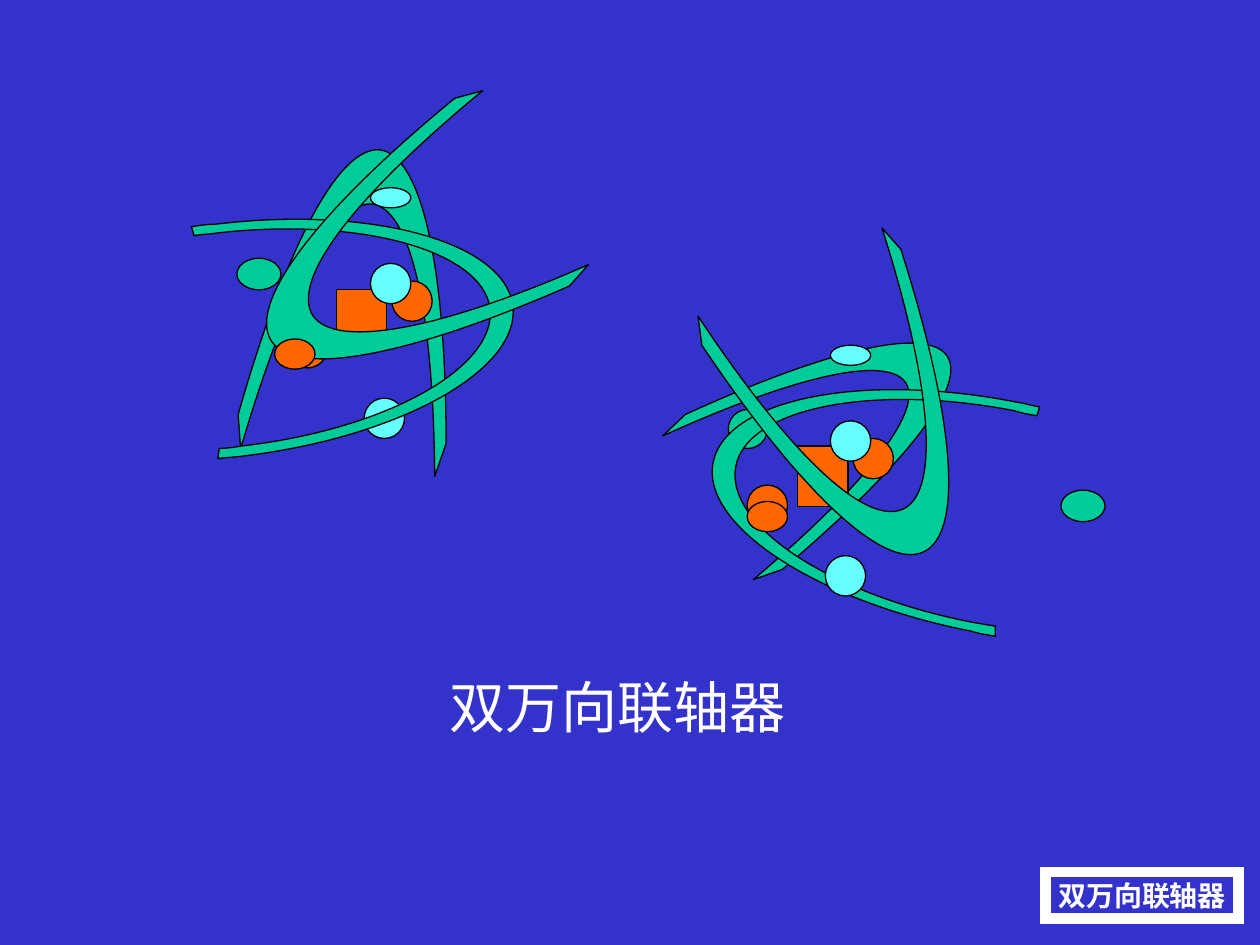
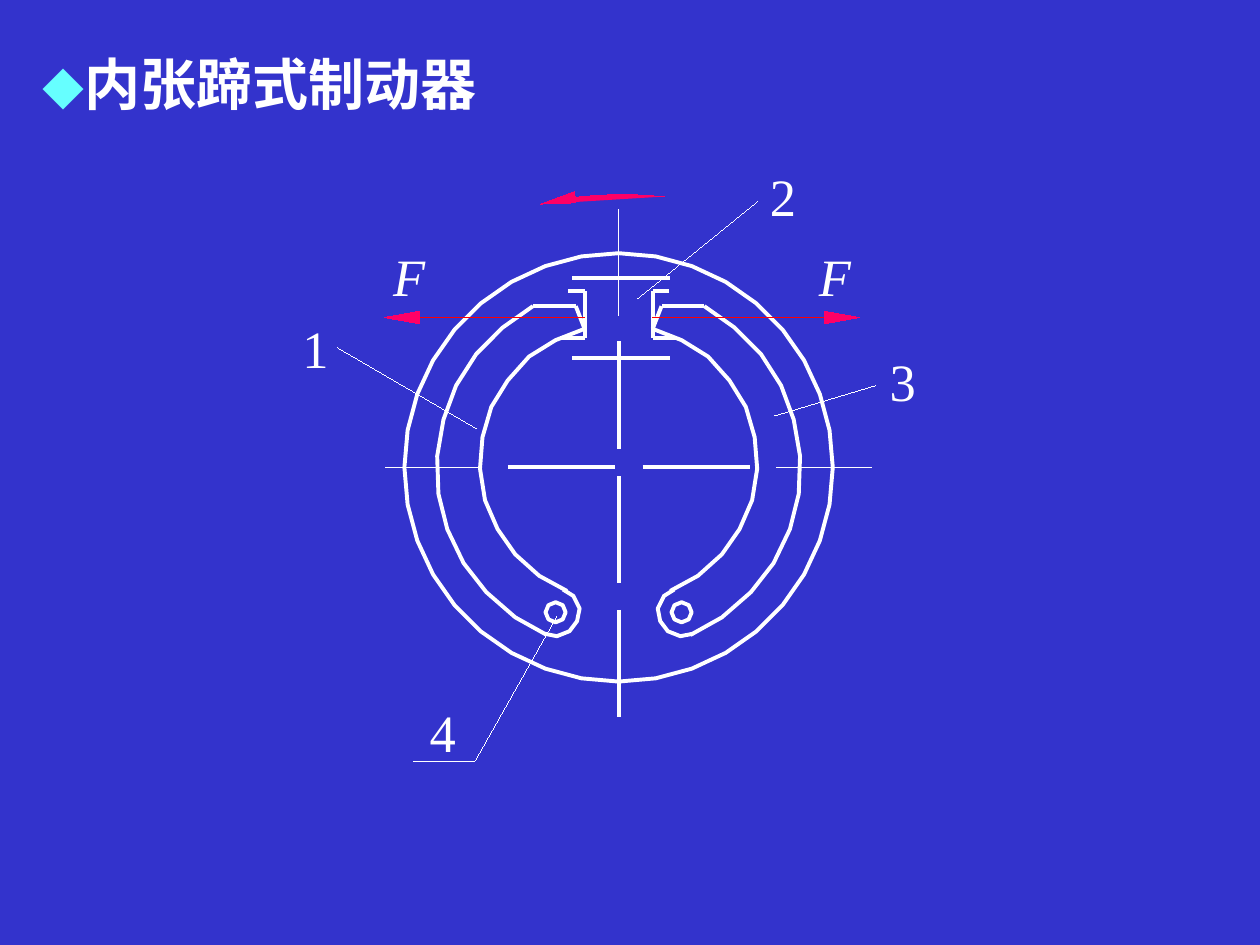
import math
from lxml import etree
from pptx import Presentation
from pptx.dml.color import RGBColor
from pptx.enum import shapes, text
from pptx.oxml import ns
from pptx.util import Inches, Pt

BLUE = RGBColor(0x33, 0x33, 0xCC)
GREEN = RGBColor(0x00, 0xCC, 0x99)
ORANGE = RGBColor(0xFF, 0x66, 0x00)
CYAN = RGBColor(0x66, 0xFF, 0xFF)
WHITE = RGBColor(0xFF, 0xFF, 0xFF)
BLACK = RGBColor(0, 0, 0)
RED = RGBColor(0xFF, 0, 0)
PINK = RGBColor(0xFF, 0, 0x66)
SERIF, SANS = "Times New Roman", "Noto Sans CJK SC"
THICK, HAIRLINE = 2.25, 0.01
OVAL = shapes.MSO_SHAPE.OVAL
RECTANGLE = shapes.MSO_SHAPE.RECTANGLE

# Slide 1 content: joint parts, back to front. A fork is a start point followed
# by line ends (2 numbers) and Bezier curves (6 numbers).
COUPLING_NAME = "双万向联轴器"
LEFT_JOINT = [
    [(1.91, 3.56), (2.28, 2.3, 2.66, 1.58, 2.96, 1.62),
     (3.26, 1.67, 3.44, 2.46, 3.45, 3.78), (3.54, 3.52),
     (3.54, 2.09, 3.34, 1.24, 3.02, 1.19), (2.7, 1.15, 2.28, 1.92, 1.89, 3.29)],
    (OVAL, 3.11, 2.23, 0.32, 0.32, ORANGE),
    (OVAL, 1.88, 2.05, 0.35, 0.25, GREEN),
    (OVAL, 2.89, 3.16, 0.32, 0.32, CYAN),
    (RECTANGLE, 2.67, 2.3, 0.4, 0.48, ORANGE),
    (OVAL, 2.94, 2.09, 0.32, 0.32, CYAN),
    [(1.54, 1.87), (1.6, 1.86, 1.66, 1.86, 1.72, 1.85),
     (2.86, 1.72, 3.83, 1.99, 3.89, 2.45), (3.94, 2.92, 3.06, 3.41, 1.92, 3.54),
     (1.86, 3.55, 1.8, 3.56, 1.74, 3.56), (1.73, 3.64),
     (1.8, 3.63, 1.86, 3.63, 1.93, 3.62), (3.17, 3.47, 4.13, 2.94, 4.07, 2.43),
     (4.01, 1.92, 2.95, 1.63, 1.71, 1.78), (1.65, 1.78, 1.58, 1.79, 1.52, 1.8)],
    (OVAL, 2.94, 1.49, 0.32, 0.16, CYAN),
    (OVAL, 2.28, 2.6, 0.32, 0.32, ORANGE),
    [(4.67, 2.1), (3.47, 2.63, 2.65, 2.77, 2.48, 2.5),
     (2.31, 2.22, 2.81, 1.56, 3.83, 0.72), (3.61, 0.78),
     (2.51, 1.68, 1.97, 2.4, 2.15, 2.7), (2.33, 3, 3.22, 2.84, 4.52, 2.27)],
    (OVAL, 2.18, 2.69, 0.32, 0.24, ORANGE),
]
RIGHT_JOINT = [
    [(5.98, 4.6), (6.88, 3.84, 7.33, 3.26, 7.19, 3.04),
     (7.05, 2.82, 6.34, 2.97, 5.26, 3.46), (5.44, 3.29),
     (6.6, 2.76, 7.37, 2.59, 7.52, 2.83), (7.67, 3.07, 7.19, 3.69, 6.21, 4.52)],
    (OVAL, 5.78, 3.25, 0.31, 0.31, GREEN),
    [(8.23, 3.3), (8.17, 3.29, 8.11, 3.28, 8.05, 3.26),
     (6.92, 3.04, 5.93, 3.24, 5.84, 3.7), (5.75, 4.17, 6.59, 4.72, 7.72, 4.94),
     (7.78, 4.95, 7.84, 4.96, 7.9, 4.97), (7.9, 5.05),
     (7.84, 5.04, 7.77, 5.03, 7.71, 5.01), (6.48, 4.77, 5.56, 4.17, 5.66, 3.67),
     (5.76, 3.17, 6.83, 2.95, 8.06, 3.19), (8.13, 3.2, 8.19, 3.22, 8.25, 3.23)],
    (OVAL, 6.77, 3.48, 0.32, 0.32, ORANGE),
    (OVAL, 6.55, 4.41, 0.32, 0.32, CYAN),
    (RECTANGLE, 6.33, 3.54, 0.4, 0.48, ORANGE),
    (OVAL, 6.59, 3.34, 0.32, 0.32, CYAN),
    (OVAL, 6.59, 2.74, 0.32, 0.16, CYAN),
    (OVAL, 5.93, 3.85, 0.32, 0.32, ORANGE),
    [(5.54, 2.51), (6.27, 3.61, 6.87, 4.18, 7.17, 4.04),
     (7.46, 3.9, 7.4, 3.07, 7, 1.81), (7.15, 1.98),
     (7.58, 3.33, 7.65, 4.23, 7.33, 4.38), (7.02, 4.53, 6.36, 3.92, 5.57, 2.74)],
    (OVAL, 5.93, 3.98, 0.32, 0.24, ORANGE),
    (OVAL, 8.42, 3.89, 0.35, 0.25, GREEN),
]

# Slide 2 content: the brake is symmetric about CENTRE_X
BRAKE_NAME = "内张蹄式制动器"
CENTRE_X, CENTRE_Y, DRUM_RADIUS = 4.91, 3.71, 1.7
PIN_X, PIN_Y, PIN_RADIUS = 4.41, 4.86, 0.08
LEFT_SHOE = [
    [(4.23, 2.43), (3.99, 2.6), (3.78, 2.81), (3.62, 3.06), (3.52, 3.33),
     (3.47, 3.62), (3.48, 3.92), (3.55, 4.2), (3.68, 4.47), (3.86, 4.7),
     (4.09, 4.9), (4.34, 5.04)],
    [(4.64, 2.61), (4.41, 2.7), (4.2, 2.83), (4.03, 3.02), (3.9, 3.23),
     (3.83, 3.47), (3.81, 3.72), (3.85, 3.97), (3.95, 4.2), (4.09, 4.4),
     (4.28, 4.57), (4.5, 4.69)],
    [(4.32, 5.03), (4.42, 5.05), (4.52, 5.01), (4.58, 4.93), (4.6, 4.83),
     (4.55, 4.73), (4.47, 4.68)],
]
LEFT_LINES = [
    (4.23, 2.43, 4.57, 2.43), (4.64, 2.61, 4.57, 2.43), (4.51, 2.31, 4.64, 2.31),
    (4.64, 2.31, 4.64, 2.68), (4.64, 2.68, 4.45, 2.68),
]
CYLINDER_EDGES = [(4.54, y, 5.32, y) for y in (2.21, 2.84)]
# Centre lines as (start, end, width, colour); equal ends make a dot
HORIZONTAL_AXIS = [
    (3.06, 3.82, HAIRLINE, WHITE), (3.93, 3.93, THICK, WHITE), (4.03, 4.88, THICK, WHITE),
    (4.99, 4.99, THICK, WHITE), (5.1, 5.95, THICK, WHITE), (6.05, 6.05, THICK, RED),
    (6.16, 6.92, HAIRLINE, WHITE)]
VERTICAL_AXIS = [
    (1.66, 2.5, HAIRLINE, WHITE), (2.61, 2.61, THICK, WHITE), (2.71, 3.56, THICK, WHITE),
    (3.67, 3.67, THICK, WHITE), (3.78, 4.63, THICK, WHITE), (4.73, 4.73, THICK, WHITE),
    (4.84, 5.69, THICK, WHITE)]
LEADERS = [(3.78, 3.4, 2.68, 2.76), (5.06, 2.37, 6.01, 1.6), (6.15, 3.3, 6.95, 3.06),
           (4.42, 4.89, 3.77, 6.04), (3.77, 6.04, 3.28, 6.04)]
FORCE_LINES = [(3.05, 2.52, 4.64, 2.52), (5.18, 2.52, 6.82, 2.52)]
ARROW_PARTS = [
    [(5.27, 1.56), (4.94, 1.54), (4.61, 1.56), (4.29, 1.62)],
    [(4.56, 1.52), (4.57, 1.61), (4.29, 1.62)],
    [(3.33, 2.47), (3.33, 2.57), (3.05, 2.52)],
    [(6.54, 2.47), (6.54, 2.57), (6.82, 2.52)],
]
LABELS = [("1", 2.4, 2.51), ("2", 6.11, 1.3), ("3", 7.06, 2.77), ("4", 3.41, 5.56),
          ("F", 3.12, 1.94), ("F", 6.5, 1.94)]


# Shared helpers
def style(shape, fill, line, width):
    shape.shadow.inherit = False
    if fill is None:
        shape.fill.background()
    else:
        shape.fill.solid()
        shape.fill.fore_color.rgb = fill
    shape.line.color.rgb = line
    shape.line.width = Pt(width)


def add_outline(slide, points, fill=None, line=WHITE, width=THICK, close=False):
    corners = [(Inches(x), Inches(y)) for x, y in points]
    builder = slide.shapes.build_freeform(*corners[0])
    builder.add_line_segments(corners[1:], close=close)
    shape = builder.convert_to_shape()
    style(shape, fill, line, width)
    return shape


def add_fork(slide, segments):
    """Outline the segment ends, then bend the sides that are curves."""
    shape = add_outline(slide, [segment[-2:] for segment in segments],
                        GREEN, BLACK, 0.75, close=True)
    sides = list(shape._element.iter(ns.qn("a:lnTo")))
    for side, segment in zip(sides, segments[1:]):
        if len(segment) == 2:
            continue
        side.tag = ns.qn("a:cubicBezTo")
        for index in (0, 2):
            control = etree.Element(ns.qn("a:pt"))
            control.set("x", str(Inches(segment[index]) - shape.left))
            control.set("y", str(Inches(segment[index + 1]) - shape.top))
            side.insert(index // 2, control)


def add_line(slide, ends, color=WHITE, width=THICK):
    connector = slide.shapes.add_connector(
        shapes.MSO_CONNECTOR.STRAIGHT, *[Inches(value) for value in ends])
    connector.line.color.rgb = color
    connector.line.width = Pt(width)
    etree.SubElement(connector._element.spPr, ns.qn("a:effectLst"))


def write(shape, runs, align, margins=(0.1, 0.05), wrap=False, anchor=text.MSO_ANCHOR.TOP):
    """Each run is (text, size, colour, font, bold, italic)."""
    frame = shape.text_frame
    frame.auto_size = text.MSO_AUTO_SIZE.NONE
    frame.word_wrap = wrap
    frame.vertical_anchor = anchor
    frame.margin_left = frame.margin_right = Inches(margins[0])
    frame.margin_top = frame.margin_bottom = Inches(margins[1])
    paragraph = frame.paragraphs[0]
    paragraph.alignment = align
    for words, size, color, font, bold, italic in runs:
        run = paragraph.add_run()
        run.text = words
        run.font.size = Pt(size)
        run.font.color.rgb = color
        run.font.name = font
        run.font.bold = bold
        run.font.italic = italic


def new_slide(presentation, box, runs, align, wrap):
    slide = presentation.slides.add_slide(presentation.slide_layouts[5])
    title = slide.shapes.title
    title.left, title.top, title.width, title.height = map(Inches, box)
    write(title, runs, align, wrap=wrap)
    return slide


# Geometry
def ring(x, y, radius, sides):
    angles = [2 * math.pi * side / sides for side in range(sides)]
    return [(x + radius * math.cos(a), y + radius * math.sin(a)) for a in angles]


def mirror(x):
    return 2 * CENTRE_X - x


def build_coupling(presentation):
    slide = new_slide(presentation, (3.47, 5.29, 2.87, 0.64),
                      [(COUPLING_NAME, 32, WHITE, SERIF, False, False)],
                      text.PP_ALIGN.CENTER, False)
    for part in LEFT_JOINT + RIGHT_JOINT:
        if isinstance(part, list):
            add_fork(slide, part)
        else:
            kind, *box, color = part
            style(slide.shapes.add_shape(kind, *map(Inches, box)), color, BLACK, 0.75)

    # Framed caption with square corners
    caption = slide.shapes.add_shape(RECTANGLE, *map(Inches, (8.3, 6.92, 1.53, 0.37)))
    style(caption, None, WHITE, 6)
    outline = caption._element.spPr.find(ns.qn("a:ln"))
    etree.SubElement(outline, ns.qn("a:miter")).set("lim", "800000")
    write(caption, [(COUPLING_NAME, 16, WHITE, SERIF, True, False)],
          text.PP_ALIGN.CENTER, anchor=text.MSO_ANCHOR.MIDDLE)


def build_brake(presentation):
    slide = new_slide(presentation, (0.24, 0.34, 5, 0.64),
                      [("◆", 24, CYAN, SANS, True, False),
                       (BRAKE_NAME, 32, WHITE, SANS, True, False)],
                      text.PP_ALIGN.LEFT, True)

    # Centre lines
    for start, end, width, color in HORIZONTAL_AXIS:
        add_line(slide, (start, CENTRE_Y, end, CENTRE_Y), color, width)
    for start, end, width, color in VERTICAL_AXIS:
        add_line(slide, (CENTRE_X, start, CENTRE_X, end), color, width)

    # Drum, pins, shoes and cylinder
    add_outline(slide, ring(CENTRE_X, CENTRE_Y, DRUM_RADIUS, 36), close=True)
    for x in (PIN_X, mirror(PIN_X)):
        add_outline(slide, ring(x, PIN_Y, PIN_RADIUS, 8), close=True)
    for points in LEFT_SHOE:
        add_outline(slide, points)
        add_outline(slide, [(mirror(x), y) for x, y in points])
    for x1, y1, x2, y2 in LEFT_LINES:
        add_line(slide, (x1, y1, x2, y2))
        add_line(slide, (mirror(x1), y1, mirror(x2), y2))
    for ends in CYLINDER_EDGES:
        add_line(slide, ends)

    # Leaders, forces and rotation arrow
    for ends in LEADERS:
        add_line(slide, ends, width=HAIRLINE)
    for ends in FORCE_LINES:
        add_line(slide, ends, RED, HAIRLINE)
    for points in ARROW_PARTS:
        add_outline(slide, points, PINK, PINK, HAIRLINE, close=len(points) == 3)

    # Labels
    for label, x, y in LABELS:
        is_force = label == "F"
        box = slide.shapes.add_textbox(Inches(x), Inches(y),
                                       Inches(0.26 if is_force else 0.21), Inches(0.5))
        write(box, [(label, 30, WHITE, SERIF, False, is_force)],
              text.PP_ALIGN.LEFT, margins=(0, 0))


def main():
    presentation = Presentation()
    presentation.slide_width, presentation.slide_height = Inches(10), Inches(7.5)
    background = presentation.slide_master.background.fill
    background.solid()
    background.fore_color.rgb = BLUE
    build_coupling(presentation)
    build_brake(presentation)
    presentation.save("out.pptx")


if __name__ == "__main__":
    main()
